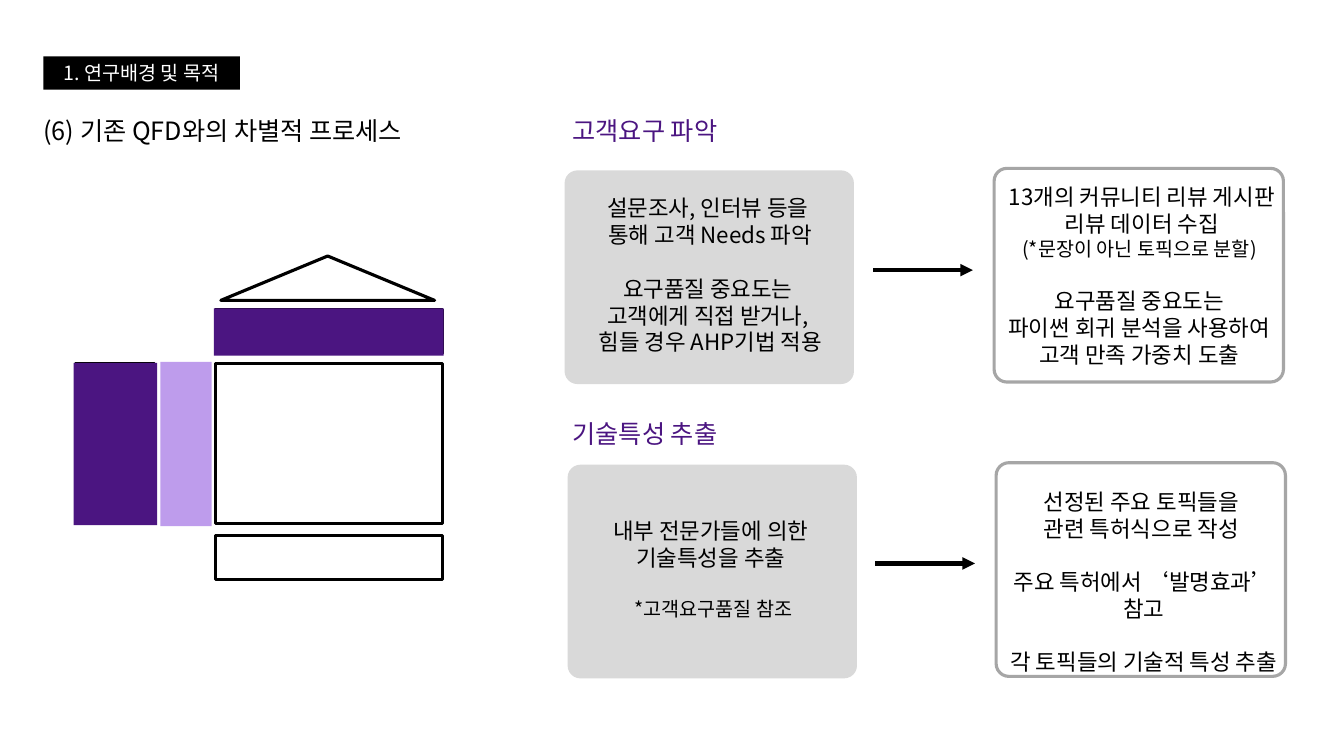
"""Build the slide that sets a new process beside conventional QFD."""
from typing import NamedTuple

from lxml.etree import SubElement
from pptx import Presentation
from pptx.dml.color import RGBColor
from pptx.enum.shapes import MSO_CONNECTOR, MSO_SHAPE
from pptx.enum.text import MSO_ANCHOR, MSO_AUTO_SIZE, PP_ALIGN
from pptx.oxml.ns import qn
from pptx.util import Inches, Pt

FONT = "Noto Sans CJK KR"
INK = {"black": "000000", "white": "FFFFFF", "deep": "4B1581",
       "pale": "BE9CEC", "gray": "D9D9D9", "edge": "A6A6A6"}
CELL = Inches(0.1)
GAP = 19


class Area(NamedTuple):
    """Columns and rows on a grid of tenth-inch cells."""
    col: float
    row: float
    wide: float
    high: float


class Line(NamedTuple):
    text: str
    size: int = 16
    gap: int = 0


class Form(NamedTuple):
    area: Area
    fill: str = ""
    edge: str = ""
    kind: MSO_SHAPE = MSO_SHAPE.RECTANGLE


class Card(NamedTuple):
    form: Form
    area: Area
    lines: list[Line]


class Step(NamedTuple):
    head: str
    spot: Area
    cards: list[Card]
    start: float
    row: float


def grid(*cells: float) -> list[int]:
    return [round(cell * CELL) for cell in cells]


def color(name: str) -> RGBColor:
    return RGBColor.from_string(INK[name])


def write(frame, lines: list[Line], ink: str = "black",
          align: PP_ALIGN = PP_ALIGN.LEFT) -> None:
    frame.word_wrap = True
    frame.auto_size = MSO_AUTO_SIZE.NONE
    for i, line in enumerate(lines):
        para = frame.paragraphs[0] if i == 0 else frame.add_paragraph()
        para.text = line.text
        para.alignment = align
        para.space_before = Pt(line.gap)
        para.font.name = FONT
        para.font.size = Pt(line.size)
        para.font.color.rgb = color(ink)
        props = para._p.pPr.find(qn("a:defRPr"))
        SubElement(props, qn("a:ea")).set("typeface", FONT)


def label(slide, area: Area, lines: list[Line], ink: str = "black",
          align: PP_ALIGN = PP_ALIGN.LEFT) -> None:
    write(slide.shapes.add_textbox(*grid(*area)).text_frame, lines, ink, align)


def draw(slide, form: Form):
    shape = slide.shapes.add_shape(form.kind, *grid(*form.area))
    shape.shadow.inherit = False
    if form.kind == MSO_SHAPE.ROUNDED_RECTANGLE:
        shape.adjustments[0] = 0.06
    if form.fill:
        shape.fill.solid()
        shape.fill.fore_color.rgb = color(form.fill)
    else:
        shape.fill.background()
    if form.edge:
        shape.line.color.rgb = color(form.edge)
        shape.line.width = Pt(2.25)
    else:
        shape.line.fill.background()
    return shape


def arrow(slide, col: float, row: float) -> None:
    link = slide.shapes.add_connector(
        MSO_CONNECTOR.STRAIGHT, *grid(col, row, col + 9.9, row))
    link.line.color.rgb = color("black")
    link.line.width = Pt(3)
    SubElement(link.line._get_or_add_ln(), qn("a:tailEnd")).set("type", "triangle")
    SubElement(link._element.spPr, qn("a:effectLst"))


def old(col: float, row: float) -> Form:
    return Form(Area(col, row, 28.7, 21.2), "gray", "", MSO_SHAPE.ROUNDED_RECTANGLE)


def new(col: float, row: float) -> Form:
    return Form(Area(col, row, 28.7, 21.2), "", "edge", MSO_SHAPE.ROUNDED_RECTANGLE)


HOUSE = [
    Form(Area(21.4, 36.1, 22.5, 15.8), edge="black"),
    Form(Area(21.4, 53.1, 22.5, 4.4), edge="black"),
    Form(Area(21.4, 30.7, 22.5, 4.4), edge="black"),
    Form(Area(7.5, 36.1, 7.8, 15.8), edge="black"),
    Form(Area(21.9, 25.4, 21.2, 4.4), "", "black", MSO_SHAPE.ISOSCELES_TRIANGLE),
    Form(Area(7.3, 36, 8.3, 16.1), "deep"),
    Form(Area(15.9, 35.9, 5.1, 16.3), "pale"),
    Form(Area(21.2, 30.6, 22.8, 4.7), "deep"),
]

STEPS = [
    Step("고객요구 파악", Area(55.8, 10.9, 19.3, 4), [
        Card(old(56, 16.9), Area(55.8, 18.8, 29.3, 17.2), [
            Line("설문조사, 인터뷰 등을 "),
            Line("통해 고객 Needs 파악"),
            Line("요구품질 중요도는 ", gap=GAP),
            Line("고객에게 직접 받거나, "),
            Line("힘들 경우 AHP기법 적용")]),
        Card(new(98.6, 16.7), Area(98.6, 17.7, 29.3, 19.5), [
            Line("13개의 커뮤니티 리뷰 게시판 리뷰 데이터 수집"),
            Line("(*문장이 아닌 토픽으로 분할) ", 14),
            Line("요구품질 중요도는 ", gap=GAP),
            Line("파이썬 회귀 분석을 사용하여 "),
            Line("고객 만족 가중치 도출 ")]),
    ], 86.6, 26.8),
    Step("기술특성 추출", Area(55.8, 41, 17.2, 4), [
        Card(old(56.3, 46.1), Area(56.1, 50.8, 29.3, 11.8), [
            Line("내부 전문가들에 의한 "),
            Line("기술특성을 추출 "),
            Line("*고객요구품질 참조", 14, GAP)]),
        Card(new(98.8, 45.9), Area(98.8, 47.9, 29.3, 17.2), [
            Line("선정된 주요 토픽들을 "),
            Line("관련 특허식으로 작성 "),
            Line("주요 특허에서 ‘발명효과’ 참고", gap=GAP),
            Line("각 토픽들의 기술적 특성 추출", gap=GAP)]),
    ], 86.8, 55.9),
]


def main() -> None:
    deck = Presentation()
    deck.slide_width, deck.slide_height = Inches(13.33), Inches(7.5)
    slide = deck.slides.add_slide(deck.slide_layouts[5])

    title = slide.shapes.title
    title.left, title.top, title.width, title.height = grid(3.3, 10.9, 38.7, 4)
    title.text_frame.vertical_anchor = MSO_ANCHOR.TOP
    write(title.text_frame, [Line("(6) 기존 QFD와의 차별적 프로세스", 18)])

    tag = draw(slide, Form(Area(4.3, 5.6, 19.5, 3.3), "black")).text_frame
    tag.vertical_anchor = MSO_ANCHOR.MIDDLE
    write(tag, [Line("1. 연구배경 및 목적", 14)], "white", PP_ALIGN.CENTER)

    for form in HOUSE:
        draw(slide, form)
    for step in STEPS:
        label(slide, step.spot, [Line(step.head, 18)], "deep")
        for card in step.cards:
            draw(slide, card.form)
            label(slide, card.area, card.lines, align=PP_ALIGN.CENTER)
        arrow(slide, step.start, step.row)
    deck.save("out.pptx")


if __name__ == "__main__":
    main()
